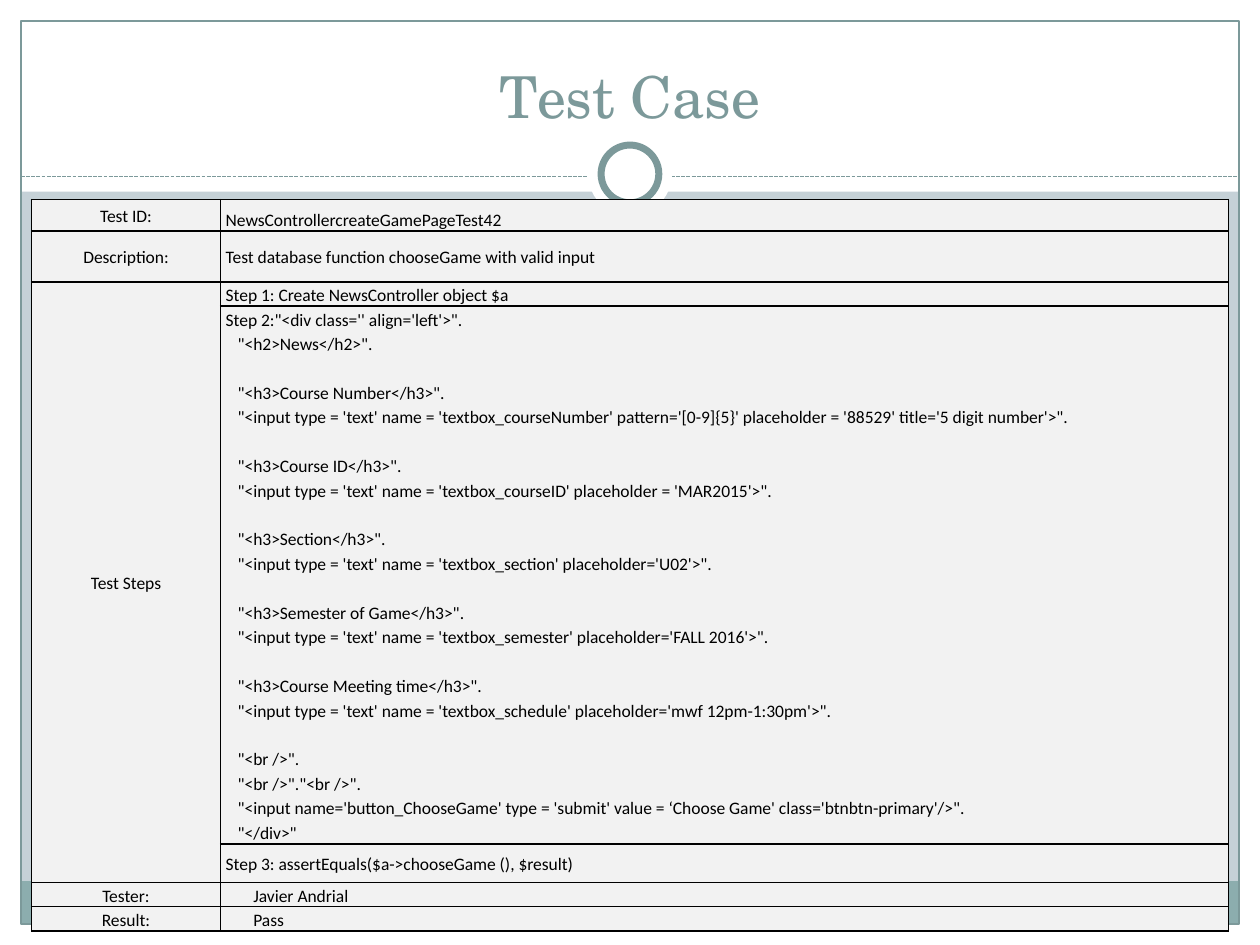
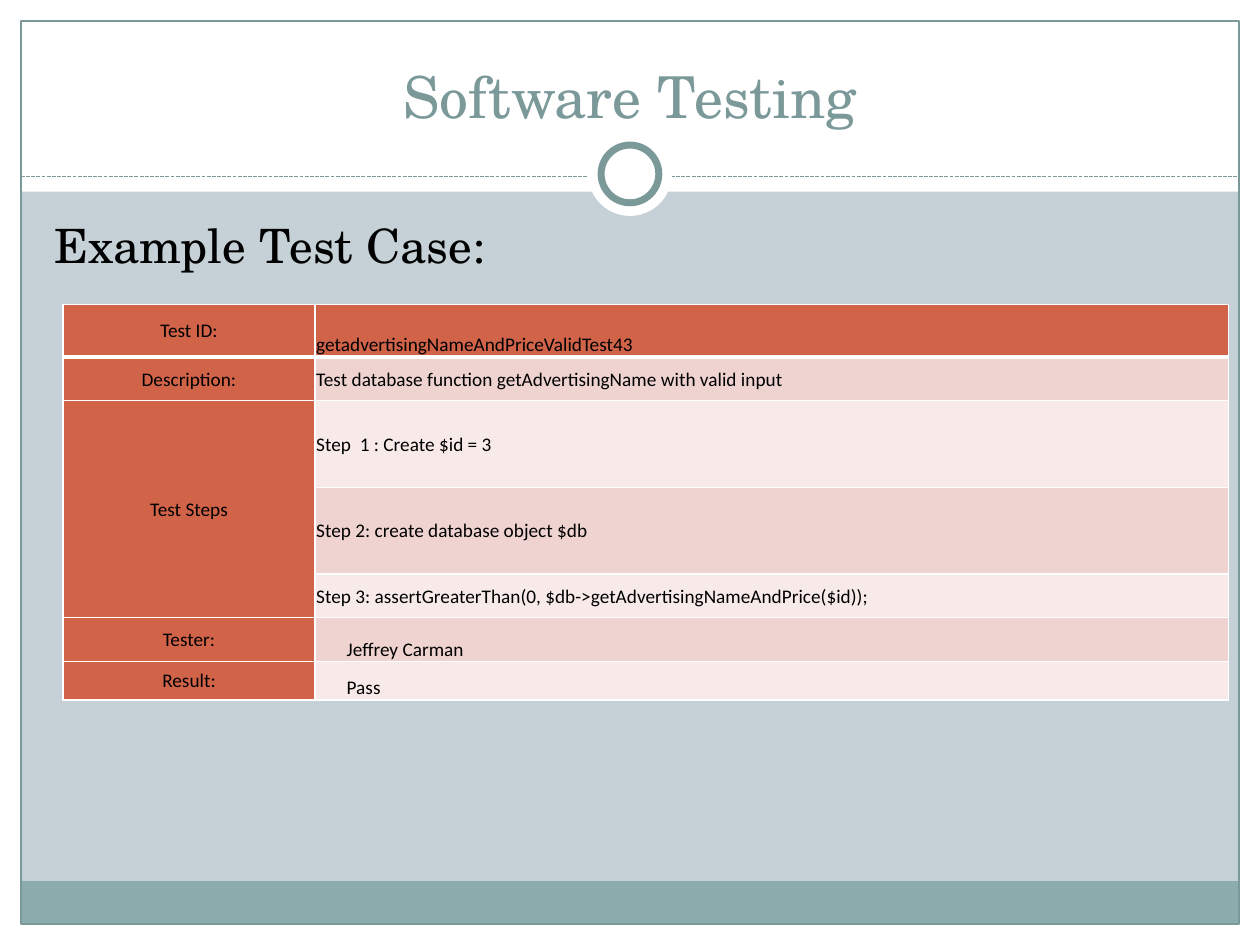
"""Build two slides that each show a software test case as a table."""
from typing import NamedTuple

from lxml import etree
from pptx import Presentation
from pptx.dml.color import RGBColor
from pptx.enum.dml import MSO_LINE
from pptx.enum.shapes import MSO_CONNECTOR, MSO_SHAPE
from pptx.enum.text import MSO_ANCHOR, PP_ALIGN
from pptx.oxml.ns import qn
from pptx.util import Pt

RECTANGLE, OVAL = MSO_SHAPE.RECTANGLE, MSO_SHAPE.OVAL
STRAIGHT = MSO_CONNECTOR.STRAIGHT
DASHED = MSO_LINE.SQUARE_DOT
MIDDLE, BOTTOM = MSO_ANCHOR.MIDDLE, MSO_ANCHOR.BOTTOM
LEFT, CENTER = PP_ALIGN.LEFT, PP_ALIGN.CENTER

COLORS = {
    "background": "C5D1D7", "white": "FFFFFF", "black": "000000",
    "accent": "7C999A", "footer": "8CADAE", "gray": "F2F2F2",
    "rust": "D16349", "pink": "EED3D0", "pale": "F7EAE9",
}
HEADING_FONT, TABLE_FONT = "TeX Gyre Schola", "Calibri"
WIDTH, HEIGHT = 720, 540
EDGE = 12
BAND_TOP = 503.5
RULE_Y = 100.8
RING_CENTER_Y = 99.4
CODE_INDENT, CODE_GAP = 6.8, 14


class Line(NamedTuple):
    text: str
    indent: float = 0
    gap: float = 0


class Row(NamedTuple):
    height: float
    label: str
    lines: list
    anchor: MSO_ANCHOR = MIDDLE


class TableStyle(NamedTuple):
    size: float
    spacing: float
    insets: tuple
    border: str
    header_rule: float
    label_fill: str
    header_fill: str
    body_fills: tuple


PLAIN = TableStyle(10, 1.15, (3, 0, 3, 0), "black", 1, "gray", "gray", ("gray", "gray"))
BANDED = TableStyle(11, 1, (0.72, 0.72, 0.72, 0), "white", 3, "rust", "rust", ("pale", "pink"))

FORM_CODE = [
    ["\"<h2>News</h2>\"."],
    ["\"<h3>Course Number</h3>\".",
     "\"<input type = 'text' name = 'textbox_courseNumber' pattern='[0-9]{5}' "
     "placeholder = '88529' title='5 digit number'>\"."],
    ["\"<h3>Course ID</h3>\".",
     "\"<input type = 'text' name = 'textbox_courseID' placeholder = 'MAR2015'>\"."],
    ["\"<h3>Section</h3>\".",
     "\"<input type = 'text' name = 'textbox_section' placeholder='U02'>\"."],
    ["\"<h3>Semester of Game</h3>\".",
     "\"<input type = 'text' name = 'textbox_semester' placeholder='FALL 2016'>\"."],
    ["\"<h3>Course Meeting time</h3>\".",
     "\"<input type = 'text' name = 'textbox_schedule' placeholder='mwf 12pm-1:30pm'>\"."],
    ["\"<br />\".",
     "\"<br />\".\"<br />\".",
     "\"<input name='button_ChooseGame' type = 'submit' value = ‘Choose Game' "
     "class='btnbtn-primary'/>\".",
     "\"</div>\""],
]


def rgb(name):
    return RGBColor.from_string(COLORS[name])


def code_lines(first_line, blocks):
    lines = [Line(first_line)]
    for block_index, block in enumerate(blocks):
        for line_index, text in enumerate(block):
            gap = CODE_GAP if block_index and not line_index else 0
            lines.append(Line(text, CODE_INDENT, gap))
    return lines


def set_font(paragraph, name, size, color):
    paragraph.font.name = name
    paragraph.font.size = Pt(size)
    paragraph.font.color.rgb = rgb(color)


def add_block(slide, kind, left, top, width, height, fill=None, line=None, line_width=0.75):
    shape = slide.shapes.add_shape(kind, Pt(left), Pt(top), Pt(width), Pt(height))
    shape.shadow.inherit = False
    if fill:
        shape.fill.solid()
        shape.fill.fore_color.rgb = rgb(fill)
    else:
        shape.fill.background()
    if line:
        shape.line.color.rgb = rgb(line)
        shape.line.width = Pt(line_width)
    else:
        shape.line.fill.background()


def add_dashed_rule(slide):
    rule = slide.shapes.add_connector(STRAIGHT, Pt(EDGE), Pt(RULE_Y), Pt(WIDTH - EDGE), Pt(RULE_Y))
    rule.line.color.rgb = rgb("accent")
    rule.line.width = Pt(0.75)
    rule.line.dash_style = DASHED
    etree.SubElement(rule.element.spPr, qn("a:effectLst"))


def add_circle(slide, diameter, **look):
    add_block(slide, OVAL, (WIDTH - diameter) / 2, RING_CENTER_Y - diameter / 2,
              diameter, diameter, fill="white", **look)


def add_frame(slide):
    slide.background.fill.solid()
    slide.background.fill.fore_color.rgb = rgb("background")
    inner_width, inner_bottom = WIDTH - 2 * EDGE, HEIGHT - EDGE
    for left, top, width, height in (
        (0, inner_bottom, WIDTH, EDGE),
        (0, 0, WIDTH, 109.5),
        (0, 0, EDGE, HEIGHT),
        (WIDTH - EDGE, 0, EDGE, HEIGHT),
    ):
        add_block(slide, RECTANGLE, left, top, width, height, fill="white")
    add_block(slide, RECTANGLE, EDGE, BAND_TOP, inner_width, inner_bottom - BAND_TOP, fill="footer")
    add_block(slide, RECTANGLE, EDGE, EDGE, inner_width, HEIGHT - 2 * EDGE, line="accent")
    add_dashed_rule(slide)
    add_circle(slide, 48)
    add_circle(slide, 33, line="accent", line_width=4)


def add_titled_slide(presentation, text):
    slide = presentation.slides.add_slide(presentation.slide_layouts[5])
    add_frame(slide)
    title = slide.shapes.title
    title.element.getparent().append(title.element)
    title.left, title.top, title.width, title.height = Pt(24), Pt(18), Pt(672), Pt(60)
    title.text_frame.vertical_anchor = BOTTOM
    paragraph = title.text_frame.paragraphs[0]
    paragraph.text = text
    paragraph.alignment = CENTER
    set_font(paragraph, HEADING_FONT, 33, "accent")
    return slide


def add_subheading(slide, text):
    box = slide.shapes.add_textbox(Pt(24), Pt(120), Pt(670), Pt(360))
    box.text_frame.word_wrap = True
    paragraph = box.text_frame.paragraphs[0]
    paragraph.text = text
    paragraph.space_before = Pt(5.4)
    set_font(paragraph, HEADING_FONT, 27, "black")


def set_borders(cell, color, top, bottom):
    properties = cell._tc.get_or_add_tcPr()
    for index, (side, width) in enumerate((("L", 1), ("R", 1), ("T", top), ("B", bottom))):
        line = etree.Element(qn(f"a:ln{side}"), w=str(Pt(width)))
        fill = etree.SubElement(line, qn("a:solidFill"))
        etree.SubElement(fill, qn("a:srgbClr"), val=COLORS[color])
        properties.insert(index, line)


def write_cell(cell, lines, style, alignment, anchor):
    cell.vertical_anchor = anchor
    cell.margin_left, cell.margin_top, cell.margin_right, cell.margin_bottom = map(Pt, style.insets)
    for index, line in enumerate(lines):
        frame = cell.text_frame
        paragraph = frame.add_paragraph() if index else frame.paragraphs[0]
        paragraph.text = line.text
        paragraph.alignment = alignment
        paragraph.line_spacing = style.spacing
        set_font(paragraph, TABLE_FONT, style.size, "black")
        if line.gap:
            paragraph.space_before = Pt(line.gap)
        if line.indent:
            paragraph._p.get_or_add_pPr().set("marL", str(Pt(line.indent)))


def add_test_table(slide, left, top, column_widths, rows, style):
    frame = slide.shapes.add_table(len(rows), 2, Pt(left), Pt(top), Pt(sum(column_widths)),
                                   Pt(sum(row.height for row in rows)))
    table = frame.table
    table.first_row = table.horz_banding = False
    for column, width in zip(table.columns, column_widths):
        column.width = Pt(width)
    for index, row in enumerate(rows):
        table.rows[index].height = Pt(row.height)
        label_cell, value_cell = table.cell(index, 0), table.cell(index, 1)
        if row.label:
            write_cell(label_cell, [Line(row.label)], style, CENTER, MIDDLE)
        write_cell(value_cell, row.lines, style, LEFT, row.anchor)
        value_fill = style.body_fills[index % 2] if index else style.header_fill
        for cell, fill in ((label_cell, style.label_fill), (value_cell, value_fill)):
            cell.fill.solid()
            cell.fill.fore_color.rgb = rgb(fill)
            set_borders(cell, style.border,
                        top=style.header_rule if index == 1 else 1,
                        bottom=style.header_rule if index == 0 else 1)
    steps = [index for index, row in enumerate(rows) if row.lines[0].text.startswith("Step")]
    table.cell(steps[0], 0).merge(table.cell(steps[-1], 0))


def main():
    presentation = Presentation()
    presentation.slide_width, presentation.slide_height = Pt(WIDTH), Pt(HEIGHT)

    slide = add_titled_slide(presentation, "Test Case")
    add_test_table(slide, 18, 114, (108, 576), [
        Row(18, "Test ID:", [Line("NewsControllercreateGamePageTest42")], BOTTOM),
        Row(29, "Description:", [Line("Test database function chooseGame with valid input")]),
        Row(11, "Test Steps", [Line("Step 1: Create NewsController object $a")]),
        Row(300, "", code_lines("Step 2:\"<div class='' align='left'>\".", FORM_CODE)),
        Row(22, "", [Line("Step 3: assertEquals($a->chooseGame (), $result)")]),
        Row(11, "Tester:", [Line("Javier Andrial", 15.8)], BOTTOM),
        Row(11, "Result:", [Line("Pass", 15.8)], BOTTOM),
    ], PLAIN)

    slide = add_titled_slide(presentation, "Software Testing")
    add_subheading(slide, "Example Test Case:")
    add_test_table(slide, 36, 174, (144, 522), [
        Row(30, "Test ID:", [Line("getadvertisingNameAndPriceValidTest43")], BOTTOM),
        Row(25, "Description:",
            [Line("Test database function getAdvertisingName with valid input")]),
        Row(49.5, "Test Steps", [Line("Step  1 : Create $id = 3")]),
        Row(49.5, "", [Line("Step 2: create database object $db")]),
        Row(25, "",
            [Line("Step 3: assertGreaterThan(0, $db->getAdvertisingNameAndPrice($id));")]),
        Row(25, "Tester:", [Line("Jeffrey Carman", 17.4)], BOTTOM),
        Row(22, "Result:", [Line("Pass", 17.4)], BOTTOM),
    ], BANDED)

    presentation.save("out.pptx")


if __name__ == "__main__":
    main()
